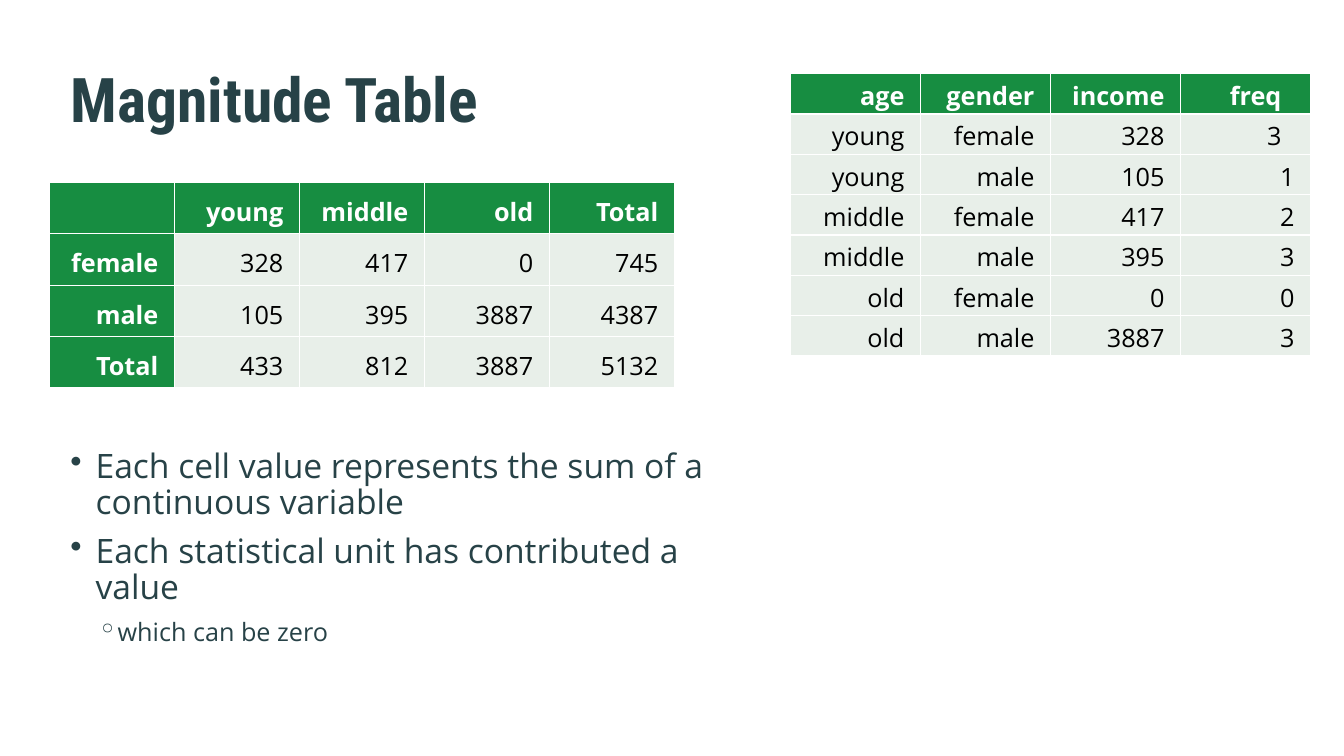
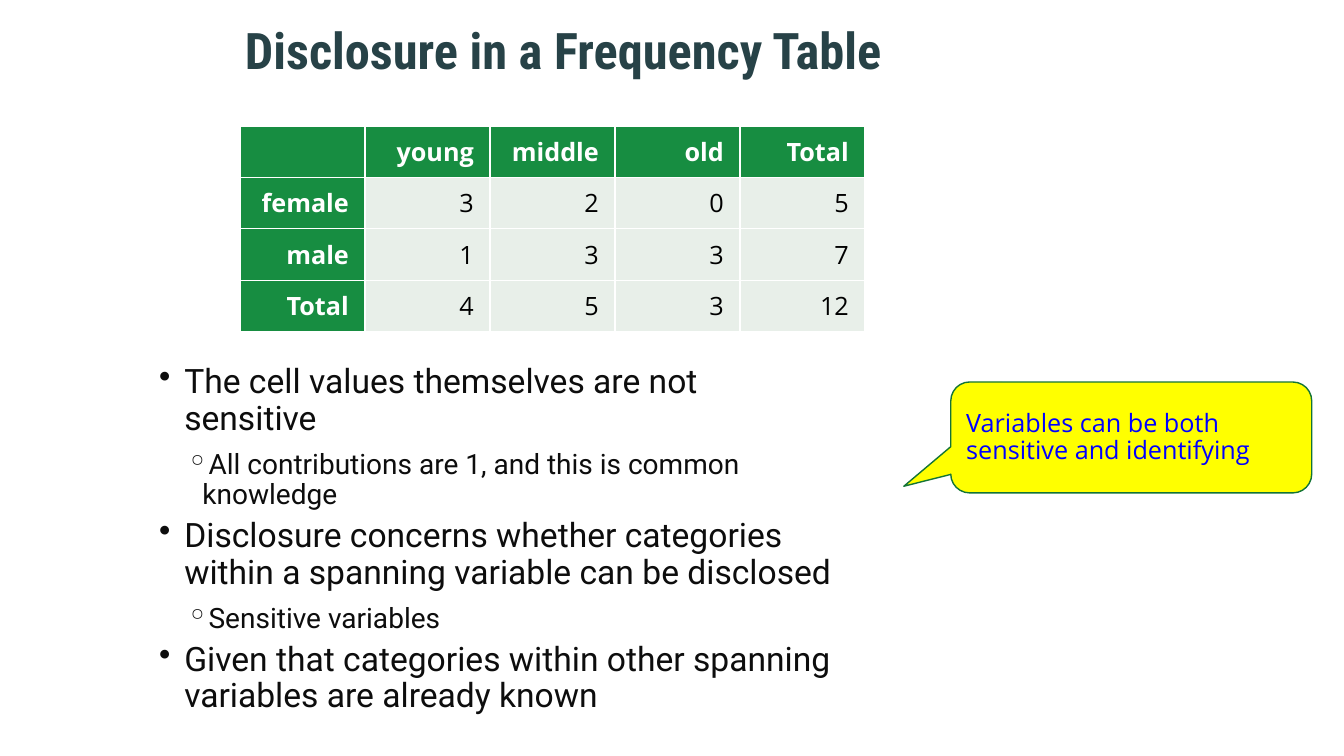
from lxml.etree import SubElement
from pptx import Presentation
from pptx.dml.color import RGBColor
from pptx.enum.shapes import MSO_SHAPE
from pptx.enum.text import MSO_ANCHOR, MSO_AUTO_SIZE, PP_ALIGN
from pptx.oxml import parse_xml
from pptx.oxml.ns import nsdecls, qn
from pptx.util import Pt

PX = 9144  # 100 px to the inch
TITLE_ONLY = 5

SLATE = RGBColor(0x27, 0x42, 0x47)
INK = RGBColor(0x0D, 0x0D, 0x0D)
BLACK = RGBColor(0x00, 0x00, 0x00)
WHITE = RGBColor(0xFF, 0xFF, 0xFF)
GREEN = RGBColor(0x17, 0x8D, 0x41)
DARK_GREEN = RGBColor(0x13, 0x74, 0x36)
PALE_GREEN = RGBColor(0xE8, 0xEF, 0xE9)
YELLOW = RGBColor(0xFF, 0xFF, 0x00)
BLUE = RGBColor(0x00, 0x00, 0xFF)

SANS, ROBOTO, CONDENSED = "Open Sans", "Roboto", "Roboto Condensed"
LINE_SPACING = 0.9

# Per outline level: bullet, left margin, hanging indent, space after
LEVELS = [("•", 25, 25, 9), ("◦", 43, 16, 6)]

CELL_FORMAT = {"margin_left": 16 * PX, "margin_right": 16 * PX,
               "margin_top": 5 * PX, "margin_bottom": 5 * PX}
INDENTED_MARGIN = 29 * PX

AGES = ["", "young", "middle", "old", "Total"]
MAGNITUDES = [
    AGES,
    ["female", "328", "417", "0", "745"],
    ["male", "105", "395", "3887", "4387"],
    ["Total", "433", "812", "3887", "5132"],
]
FREQUENCIES = [
    AGES,
    ["female", "3", "2", "0", "5"],
    ["male", "1", "3", "3", "7"],
    ["Total", "4", "5", "3", "12"],
]
RECORDS = [
    ["age", "gender", "income", "freq"],
    ["young", "female", "328", "3"],
    ["young", "male", "105", "1"],
    ["middle", "female", "417", "2"],
    ["middle", "male", "395", "3"],
    ["old", "female", "0", "0"],
    ["old", "male", "3887", "3"],
]
MAGNITUDE_POINTS = [
    (0, "Each cell value represents the sum of a continuous variable"),
    (0, "Each statistical unit has contributed a value"),
    (1, "which can be zero"),
]
DISCLOSURE_POINTS = [
    (0, "The cell values themselves are not sensitive"),
    (1, "All contributions are 1, and this is common knowledge"),
    (0, "Disclosure concerns whether categories within a spanning variable "
        "can be disclosed"),
    (1, "Sensitive variables"),
    (0, "Given that categories within other spanning variables are already known"),
]


def px(*lengths):
    return [length * PX for length in lengths]


def set_format(target, values):
    for name, value in values.items():
        setattr(target, name, value)


def write(para, text, font, size, color, bold=False):
    span = para.add_run()
    span.text = text
    set_format(span.font, {"name": font, "size": Pt(size), "bold": bold})
    span.font.color.rgb = color


def add_titled_page(deck, title, place, size):
    page = deck.slides.add_slide(deck.slide_layouts[TITLE_ONLY])
    box = page.shapes.title
    set_format(box, dict(zip(("left", "top", "width", "height"), px(*place))))
    set_format(box.text_frame, {
        "vertical_anchor": MSO_ANCHOR.MIDDLE, "word_wrap": True,
        "auto_size": MSO_AUTO_SIZE.NONE, "margin_left": 10 * PX,
        "margin_right": 10 * PX, "margin_top": 0, "margin_bottom": 5 * PX})
    para = box.text_frame.paragraphs[0]
    set_format(para, {"alignment": PP_ALIGN.LEFT, "line_spacing": LINE_SPACING})
    write(para, title, CONDENSED, size, SLATE, bold=True)
    return page


def add_borders(cell):
    properties = cell._tc.get_or_add_tcPr()
    for position, side in enumerate(("lnL", "lnR", "lnT", "lnB")):
        properties.insert(position, parse_xml(
            f'<a:{side} {nsdecls("a")} w="{Pt(1)}"><a:solidFill>'
            f'<a:srgbClr val="{WHITE}"/></a:solidFill></a:{side}>'))


def add_grid(page, rows, corner, column_width, row_height, anchor=MSO_ANCHOR.MIDDLE,
             row_heads=True, indented=()):
    """Add a table; cells listed in indented get a wider right margin."""
    width, height = column_width * len(rows[0]), row_height * len(rows)
    table = page.shapes.add_table(len(rows), len(rows[0]),
                                  *px(*corner, width, height)).table
    set_format(table, {"first_row": False, "horz_banding": False})
    for r, row in enumerate(rows):
        for c, text in enumerate(row):
            cell = table.cell(r, c)
            is_head = r == 0 or (row_heads and c == 0)
            set_format(cell, {**CELL_FORMAT, "vertical_anchor": anchor})
            if (r, c) in indented:
                cell.margin_right = INDENTED_MARGIN
            cell.fill.solid()
            cell.fill.fore_color.rgb = GREEN if is_head else PALE_GREEN
            add_borders(cell)
            para = cell.text_frame.paragraphs[0]
            para.alignment = PP_ALIGN.RIGHT
            if text:
                write(para, text, SANS, 18, WHITE if is_head else BLACK, is_head)


def add_bullets(page, points, place, font, sizes, color):
    """Add an outline; sizes holds one text size per level."""
    frame = page.shapes.add_textbox(*px(*place)).text_frame
    frame.word_wrap = True
    for index, (level, text) in enumerate(points):
        para = frame.add_paragraph() if index else frame.paragraphs[0]
        bullet, margin, hang, after = LEVELS[level]
        set_format(para, {"level": level, "space_after": Pt(after),
                          "line_spacing": LINE_SPACING})
        properties = para._p.get_or_add_pPr()
        properties.set("marL", str(margin * PX))
        properties.set("indent", str(-hang * PX))
        SubElement(properties, qn("a:buChar")).set("char", bullet)
        write(para, text, font, sizes[level], color)


def add_callout(page, text, place, adjustments):
    shape = page.shapes.add_shape(MSO_SHAPE.ROUNDED_RECTANGULAR_CALLOUT, *px(*place))
    shape.shadow.inherit = False
    for index, value in enumerate(adjustments):
        shape.adjustments[index] = value
    shape.fill.solid()
    shape.fill.fore_color.rgb = YELLOW
    shape.line.color.rgb = DARK_GREEN
    shape.line.width = Pt(1)
    set_format(shape.text_frame, {"word_wrap": True,
                                  "vertical_anchor": MSO_ANCHOR.MIDDLE})
    para = shape.text_frame.paragraphs[0]
    set_format(para, {"alignment": PP_ALIGN.LEFT, "space_after": Pt(9),
                      "line_spacing": LINE_SPACING})
    write(para, text, SANS, 18, BLUE)


def add_magnitude_page(deck):
    page = add_titled_page(deck, "Magnitude Table", (60, 33, 1056, 143), 44)
    add_grid(page, MAGNITUDES, (49, 181), 124, 51, anchor=MSO_ANCHOR.BOTTOM)
    add_bullets(page, MAGNITUDE_POINTS, (60, 441, 691, 244), SANS, (24, 18), SLATE)
    add_grid(page, RECORDS, (784, 73), 129, 40, row_heads=False,
             indented=((0, 3), (1, 3)))


def add_disclosure_page(deck):
    page = add_titled_page(deck, "Disclosure in a Frequency Table",
                           (233, 9, 1056, 93), 36)
    add_grid(page, FREQUENCIES, (238, 125), 124, 51)
    add_bullets(page, DISCLOSURE_POINTS, (148, 357, 690, 264), ROBOTO, (24, 20), INK)
    add_callout(page, "Variables can be both sensitive and identifying",
                (943, 379, 358, 110), (-0.63, 0.44, 0.17))


def main():
    deck = Presentation()
    deck.slide_width, deck.slide_height = px(1333, 750)
    add_magnitude_page(deck)
    add_disclosure_page(deck)
    deck.save("out.pptx")


if __name__ == "__main__":
    main()
